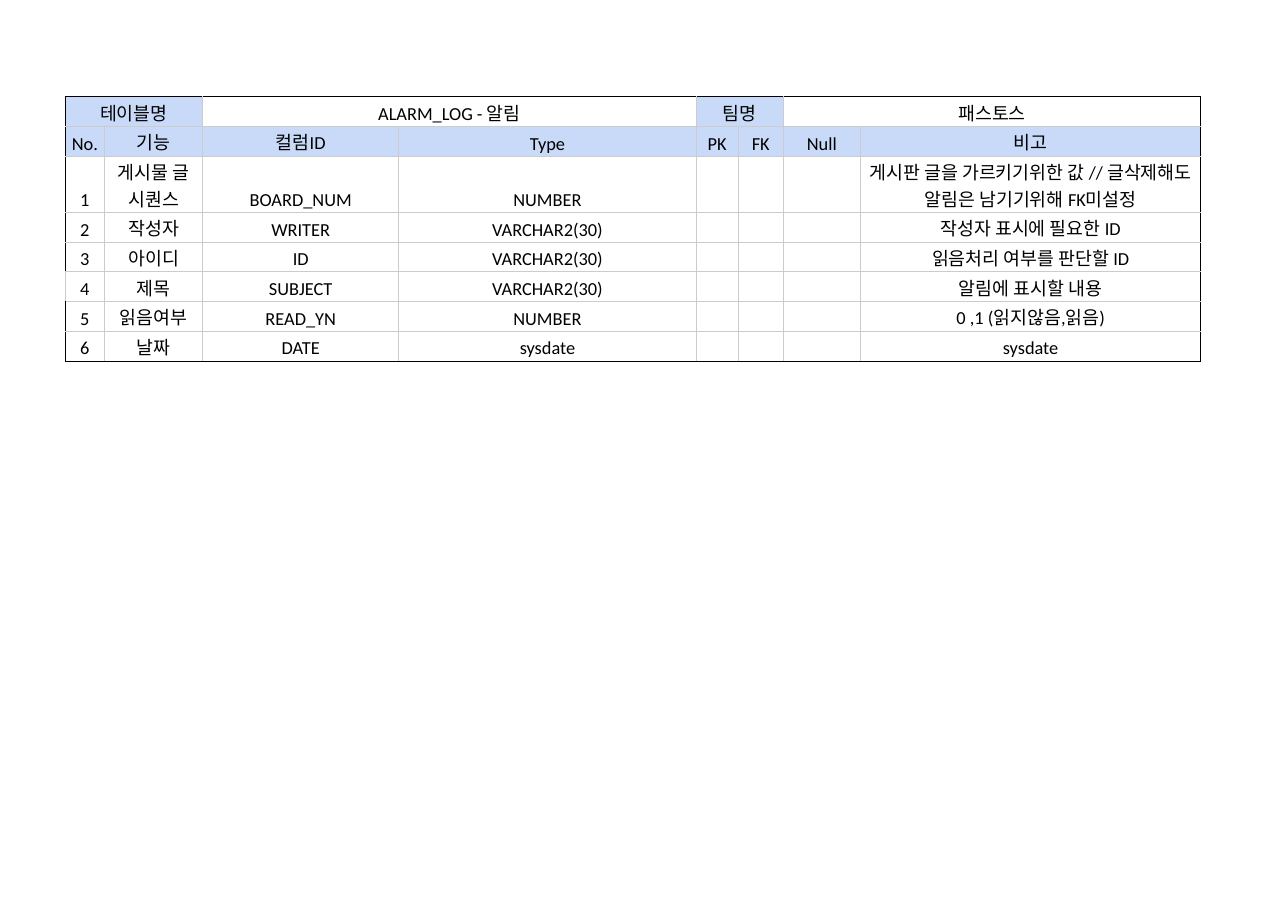
from lxml import etree
from pptx import Presentation
from pptx.dml.color import RGBColor
from pptx.enum.text import MSO_ANCHOR as Anchor, PP_ALIGN as Align
from pptx.oxml.ns import qn
from pptx.util import Inches, Pt

BLACK = RGBColor(0x00, 0x00, 0x00)
GREY = RGBColor(0xCC, 0xCC, 0xCC)
HEADER_BLUE = RGBColor(0xC9, 0xDA, 0xF8)

FONT = "Calibri"
COLUMN_WIDTHS = [0.36, 0.89, 1.78, 2.7, 0.38, 0.41, 0.7, 3.09]
ROW_HEIGHTS = [0.27, 0.27, 0.51, 0.27, 0.27, 0.27, 0.27, 0.27]
ROWS = [
    ["테이블명", "", "ALARM_LOG - 알림", "", "팀명", "", "패스토스", ""],
    ["No.", "기능", "컬럼ID", "Type", "PK", "FK", "Null", "비고"],
    ["1", "게시물 글 시퀀스", "BOARD_NUM", "NUMBER", "", "", "",
     "게시판 글을 가르키기위한 값 // 글삭제해도 알림은 남기기위해 FK미설정"],
    ["2", "작성자", "WRITER", "VARCHAR2(30)", "", "", "", "작성자 표시에 필요한 ID"],
    ["3", "아이디", "ID", "VARCHAR2(30)", "", "", "", "읽음처리 여부를 판단할 ID"],
    ["4", "제목", "SUBJECT", "VARCHAR2(30)", "", "", "", "알림에 표시할 내용"],
    ["5", "읽음여부", "READ_YN", "NUMBER", "", "", "", "0 ,1 (읽지않음,읽음)"],
    ["6", "날짜", "DATE", "sysdate", "", "", "", "sysdate"],
]
LAST_ROW = len(ROWS) - 1
LAST_COLUMN = len(COLUMN_WIDTHS) - 1
GREY_LEFT_ROW = 5


def write_cell(cell, text, size=12, color=BLACK, fill=None, borders=None):
    cell.vertical_anchor = Anchor.BOTTOM
    cell.margin_left = cell.margin_right = Inches(0.02)
    cell.margin_top = cell.margin_bottom = Inches(0.01)
    para = cell.text_frame.paragraphs[0]
    para.alignment = Align.CENTER
    if text:
        span = para.add_run()
        span.text = text
        span.font.size = Pt(size)
        span.font.name = FONT
        span.font.color.rgb = color
    else:
        etree.SubElement(para._p, qn("a:endParaRPr"), sz=str(size * 100))
    properties = cell._tc.get_or_add_tcPr()
    for side, border_color in (borders or {}).items():
        line = etree.SubElement(properties, qn(f"a:ln{side}"), w=str(Pt(0.75)))
        solid = etree.SubElement(line, qn("a:solidFill"))
        etree.SubElement(solid, qn("a:srgbClr"), val=str(border_color))
    if fill is None:
        cell.fill.background()
    else:
        cell.fill.solid()
        cell.fill.fore_color.rgb = fill


deck = Presentation()
deck.slide_width = Inches(11.69)
deck.slide_height = Inches(8.28)
page = deck.slides.add_slide(deck.slide_layouts[6])

table = page.shapes.add_table(
    len(ROWS), len(COLUMN_WIDTHS), Inches(0.59), Inches(0.88),
    Inches(sum(COLUMN_WIDTHS)), Inches(sum(ROW_HEIGHTS)),
).table
table.first_row = False
table.horz_banding = False
for column, width in zip(table.columns, COLUMN_WIDTHS):
    column.width = Inches(width)
for row, height in zip(table.rows, ROW_HEIGHTS):
    row.height = Inches(height)
for start in range(0, len(COLUMN_WIDTHS), 2):
    table.cell(0, start).merge(table.cell(0, start + 1))

for row_index, texts in enumerate(ROWS):
    for column_index, text in enumerate(texts):
        cell = table.cell(row_index, column_index)
        right_column = column_index + (cell.span_width - 1 if cell.is_merge_origin else 0)
        is_label = row_index == 1 or (row_index == 0 and column_index in (0, 1, 4, 5))
        black_left = column_index == 0 and row_index != GREY_LEFT_ROW
        write_cell(
            cell, text,
            fill=HEADER_BLUE if is_label else None,
            borders={
                "L": BLACK if black_left else GREY,
                "R": BLACK if right_column == LAST_COLUMN else GREY,
                "T": BLACK if row_index == 0 else GREY,
                "B": BLACK if row_index == LAST_ROW else GREY,
            },
        )

deck.save("out.pptx")
